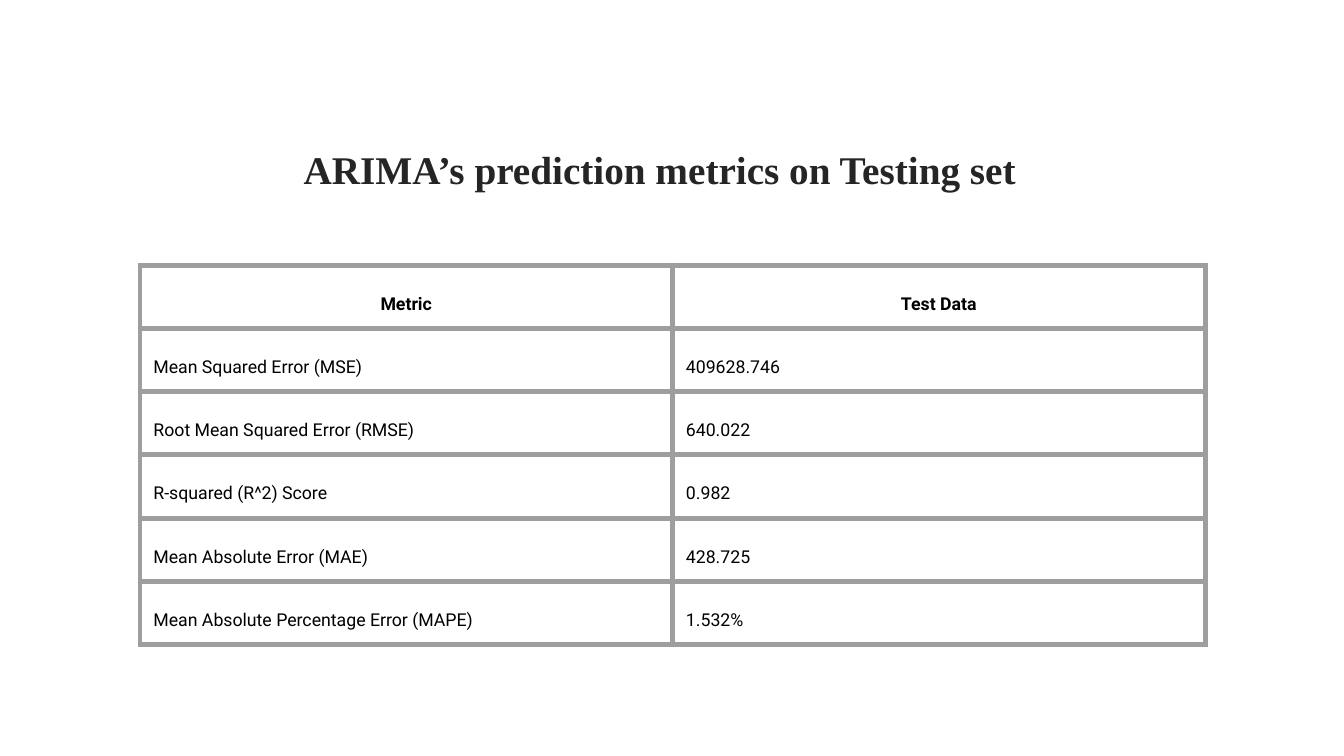
from lxml import etree
from pptx import Presentation
from pptx.dml.color import RGBColor
from pptx.enum.text import MSO_ANCHOR as Anchor, PP_ALIGN as Align
from pptx.oxml.ns import qn
from pptx.util import Pt

COLORS = {"title": "252525", "text": "000000", "border": "9E9E9E", "cell": "FFFFFF"}
ROWS = [
    ("Metric", "Test Data"),
    ("Mean Squared Error (MSE)", "409628.746"),
    ("Root Mean Squared Error (RMSE)", "640.022"),
    ("R-squared (R^2) Score", "0.982"),
    ("Mean Absolute Error (MAE)", "428.725"),
    ("Mean Absolute Percentage Error (MAPE)", "1.532%"),
]
COLUMN_WIDTH, ROW_HEIGHT = 285.3, 30.2


def write_text(paragraph, text, color, formats):
    run = paragraph.add_run()
    run.text = text
    run.font.color.rgb = RGBColor.from_string(COLORS[color])
    for name, value in formats.items():
        setattr(run.font, name, value)


def add_borders(cell, width):
    properties = cell._tc.get_or_add_tcPr()
    for position, side in enumerate(("lnL", "lnR", "lnT", "lnB")):
        line = etree.Element(qn(f"a:{side}"), w=str(Pt(width)))
        fill = etree.SubElement(line, qn("a:solidFill"))
        etree.SubElement(fill, qn("a:srgbClr"), val=COLORS["border"])
        properties.insert(position, line)


presentation = Presentation()
presentation.slide_width, presentation.slide_height = Pt(720), Pt(405)
slide = presentation.slides.add_slide(presentation.slide_layouts[6])

# Title
title = slide.shapes.add_textbox(Pt(29.5), Pt(71.3), Pt(648), Pt(30.2))
frame = title.text_frame
title_format = {"word_wrap": True, "vertical_anchor": Anchor.TOP, "margin_top": Pt(6.4)}
for name, value in title_format.items():
    setattr(frame, name, value)
frame.paragraphs[0].alignment = Align.CENTER
write_text(frame.paragraphs[0], "ARIMA’s prediction metrics on Testing set", "title",
           {"name": "Times New Roman", "size": Pt(21), "bold": True})

# Metrics table
table = slide.shapes.add_table(len(ROWS), 2, Pt(75), Pt(142), Pt(2 * COLUMN_WIDTH),
                               Pt(len(ROWS) * ROW_HEIGHT)).table
table.horz_banding = False
for column in table.columns:
    column.width = Pt(COLUMN_WIDTH)

for row_index, texts in enumerate(ROWS):
    table.rows[row_index].height = Pt(ROW_HEIGHT)
    header = row_index == 0
    for column_index, text in enumerate(texts):
        cell = table.cell(row_index, column_index)
        cell.fill.solid()
        cell.fill.fore_color.rgb = RGBColor.from_string(COLORS["cell"])
        add_borders(cell, 3)
        for side in ("left", "right", "top", "bottom"):
            setattr(cell, f"margin_{side}", Pt(7.2))
        cell.vertical_anchor = Anchor.BOTTOM if header else Anchor.MIDDLE
        paragraph = cell.text_frame.paragraphs[0]
        paragraph.alignment = Align.CENTER if header else Align.LEFT
        paragraph.line_spacing = 1.71
        write_text(paragraph, text, "text",
                   {"name": "Roboto", "size": Pt(9.5), "bold": header})

presentation.save("out.pptx")
